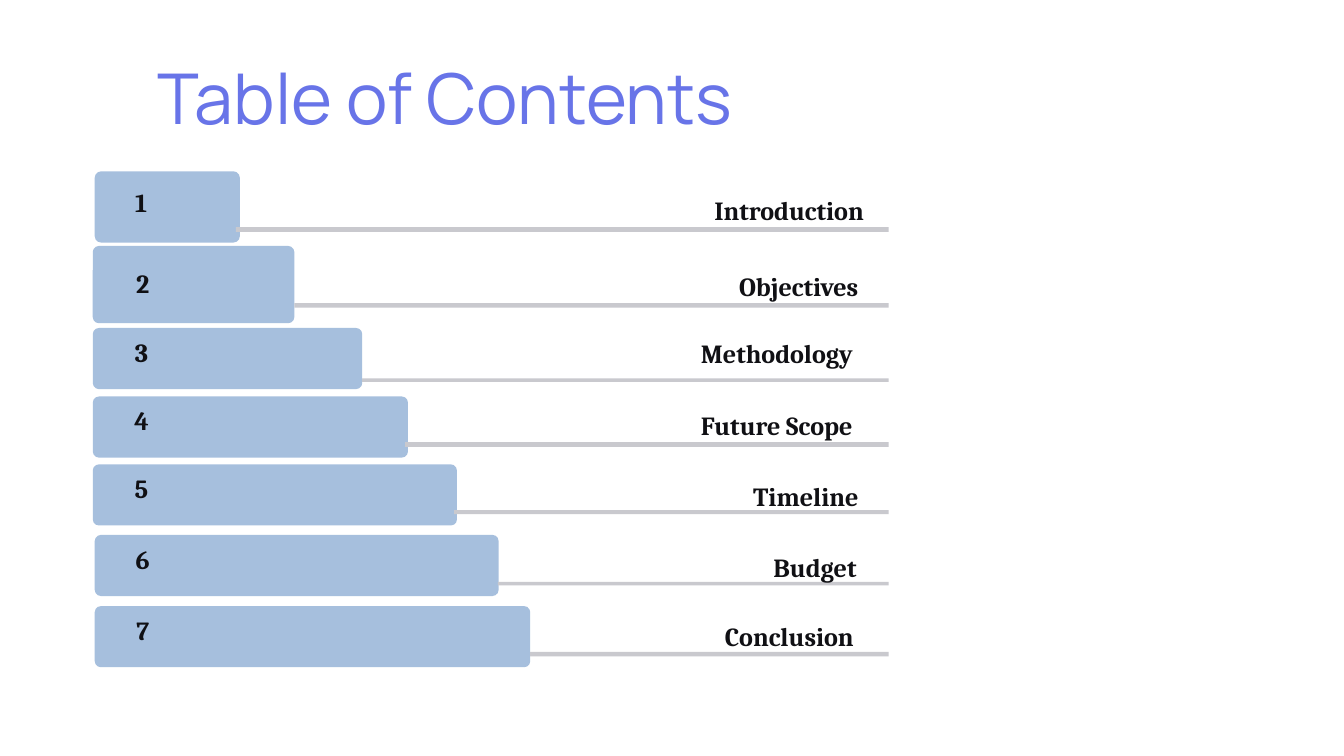
from pptx import Presentation
from pptx.dml.color import RGBColor
from pptx.enum.shapes import MSO_SHAPE as Shape
from pptx.enum.text import MSO_ANCHOR as Anchor, MSO_AUTO_SIZE as AutoSize, PP_ALIGN as Align
from pptx.oxml.ns import qn
from pptx.util import Pt
from lxml.etree import SubElement

COLORS = {"bar": "4F81BD", "rule": "C9C9CE", "text": "101014", "title": "6874E8"}
TITLE = "Table of Contents"

# label, bar (left, top, width, height), number (centre x, top),
# rule (left, top, thickness), label (left, top)
ROWS = [
    ("Introduction", (101.5, 183.6, 155.5, 76.3), (151.2, 198.7), (252.7, 243.4, 5), (758.2, 213.8)),
    ("Objectives", (99.4, 263.5, 216, 82.8), (153, 285.1), (315.4, 324.7, 5), (784.8, 295.2)),
    ("Methodology", (99.4, 351.4, 288.7, 65.5), (151.6, 358.6), (388.1, 405.4, 3.8), (743.8, 366.5)),
    ("Future Scope", (99.4, 424.8, 337.7, 65.5), (151.6, 432), (434.2, 473.8, 5), (743.8, 444.2)),
    ("Timeline", (99.4, 497.5, 390.2, 65.5), (151.6, 504.7), (486.7, 546.5, 4.3), (799.9, 519.8)),
    ("Budget", (101.5, 573.1, 432.7, 65.5), (153, 581), (533.5, 623.5, 3.8), (821.5, 596.2)),
    ("Conclusion", (101.5, 649.4, 466.6, 65.5), (153, 657.4), (568.1, 698.4, 5), (769.7, 670.3)),
]
RULE_RIGHT = 952.2
CORNER = 6.6
NUMBER_SIZE = (30, 44)
LABEL_SIZE = (245.5, 29.5)


def color(name):
    return RGBColor.from_string(COLORS[name])


def style_font(font, name, size, color_name, bold):
    font.name, font.size, font.bold = name, Pt(size), bold
    font.color.rgb = color(color_name)


def add_block(slide, kind, box, color_name):
    sp = slide.shapes.add_shape(kind, *map(Pt, box))
    sp.shadow.inherit = False
    sp.fill.solid()
    sp.fill.fore_color.rgb = color(color_name)
    sp.line.fill.background()
    return sp


def add_bar(slide, box):
    """Half-transparent rounded bar."""
    sp = add_block(slide, Shape.ROUNDED_RECTANGLE, box, "bar")
    sp.adjustments[0] = round(CORNER / box[3], 2)
    rgb = sp.fill._xPr.find(".//" + qn("a:srgbClr"))
    SubElement(rgb, qn("a:alpha"), val="50000")


def add_text(slide, text, box, align, spacing, wrap):
    tf = slide.shapes.add_textbox(*map(Pt, box)).text_frame
    tf.word_wrap = wrap
    tf.text = text
    p = tf.paragraphs[0]
    p.alignment, p.line_spacing = align, Pt(spacing)
    style_font(p.runs[0].font, "Cambria", 28, "text", True)


def add_title(slide):
    sp = slide.shapes.title
    sp.left, sp.top, sp.width, sp.height = map(Pt, (-4.3, 40.3, 789.1, 108.7))
    tf = sp.text_frame
    tf.text = TITLE
    tf.margin_left = tf.margin_right = tf.margin_top = tf.margin_bottom = 0
    tf.word_wrap = True
    tf.auto_size = AutoSize.SHAPE_TO_FIT_TEXT
    tf.vertical_anchor = Anchor.MIDDLE
    p = tf.paragraphs[0]
    p.alignment, p.line_spacing = Align.RIGHT, 1.2
    style_font(p.runs[0].font, "Manrope", 75, "title", False)


def main():
    prs = Presentation()
    prs.slide_width, prs.slide_height = Pt(1440), Pt(810)
    slide = prs.slides.add_slide(prs.slide_layouts[5])
    add_title(slide)
    for number, (label, bar, (center, top), rule, label_at) in enumerate(ROWS, 1):
        add_bar(slide, bar)
        number_box = (center - NUMBER_SIZE[0] / 2, top, *NUMBER_SIZE)
        add_text(slide, str(number), number_box, Align.CENTER, 31.4, False)
        left, rule_top, thickness = rule
        rule_box = (left, rule_top, RULE_RIGHT - left, thickness)
        add_block(slide, Shape.RECTANGLE, rule_box, "rule")
        add_text(slide, label, (*label_at, *LABEL_SIZE), Align.LEFT, 24.6, True)
    prs.save("out.pptx")


if __name__ == "__main__":
    main()
